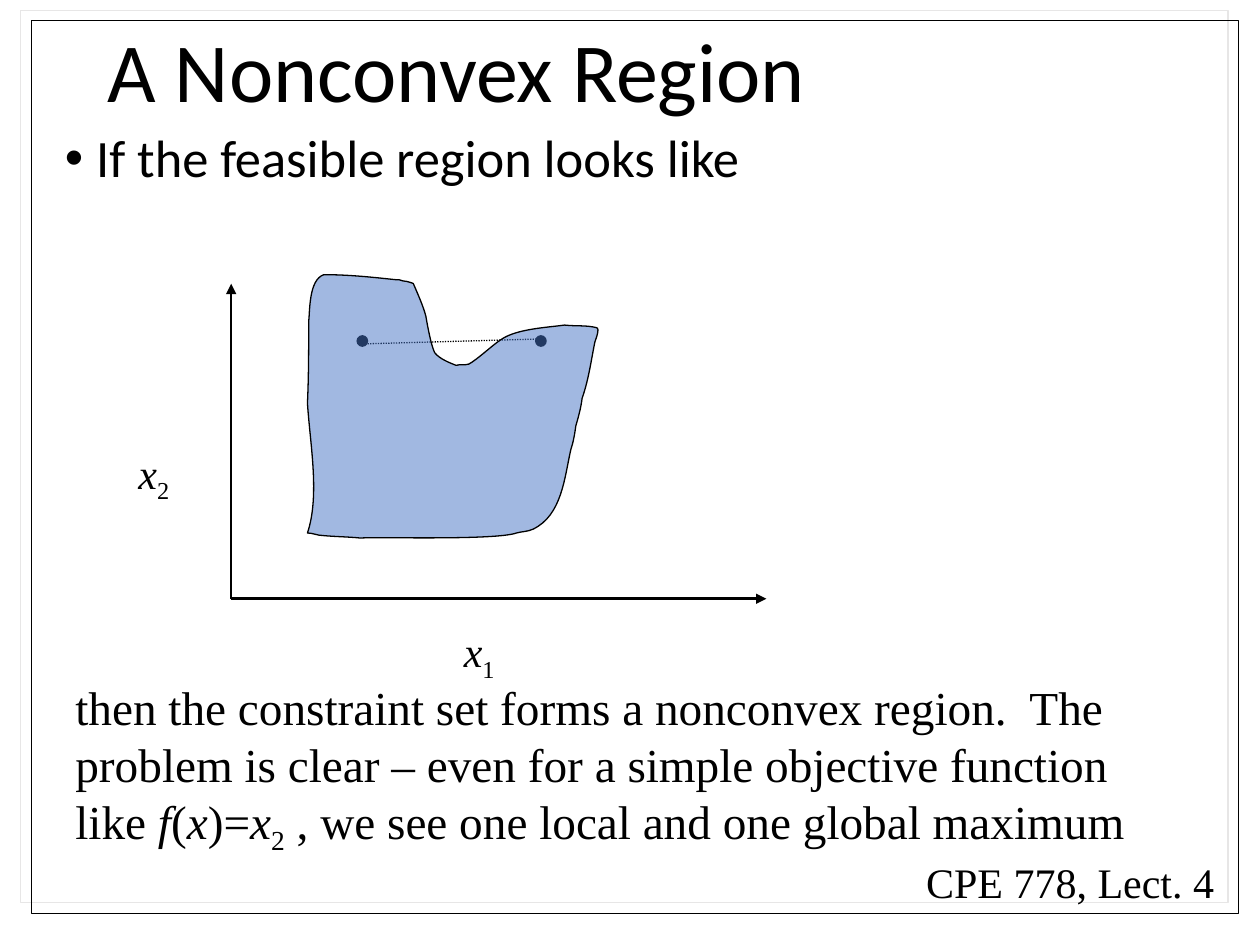
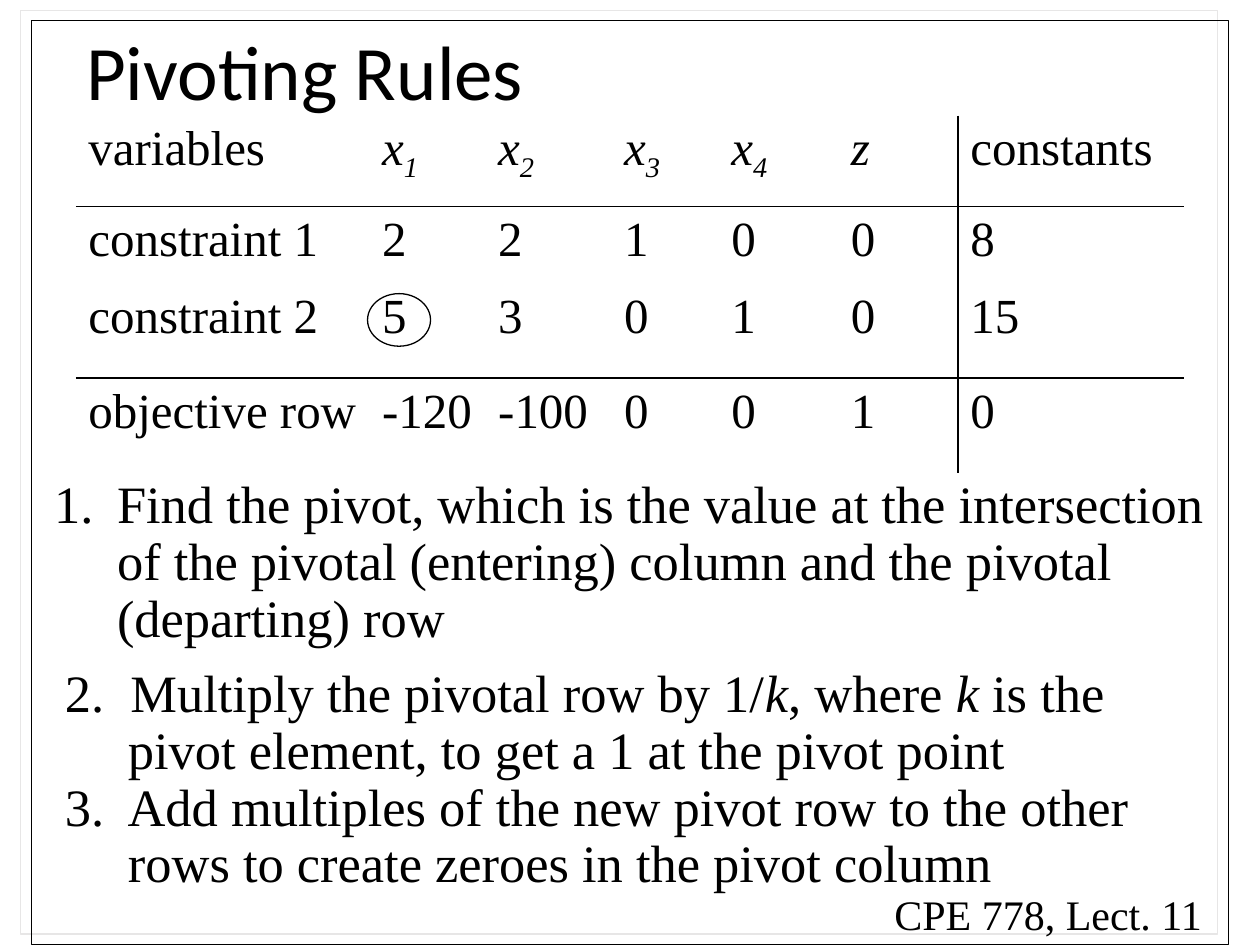
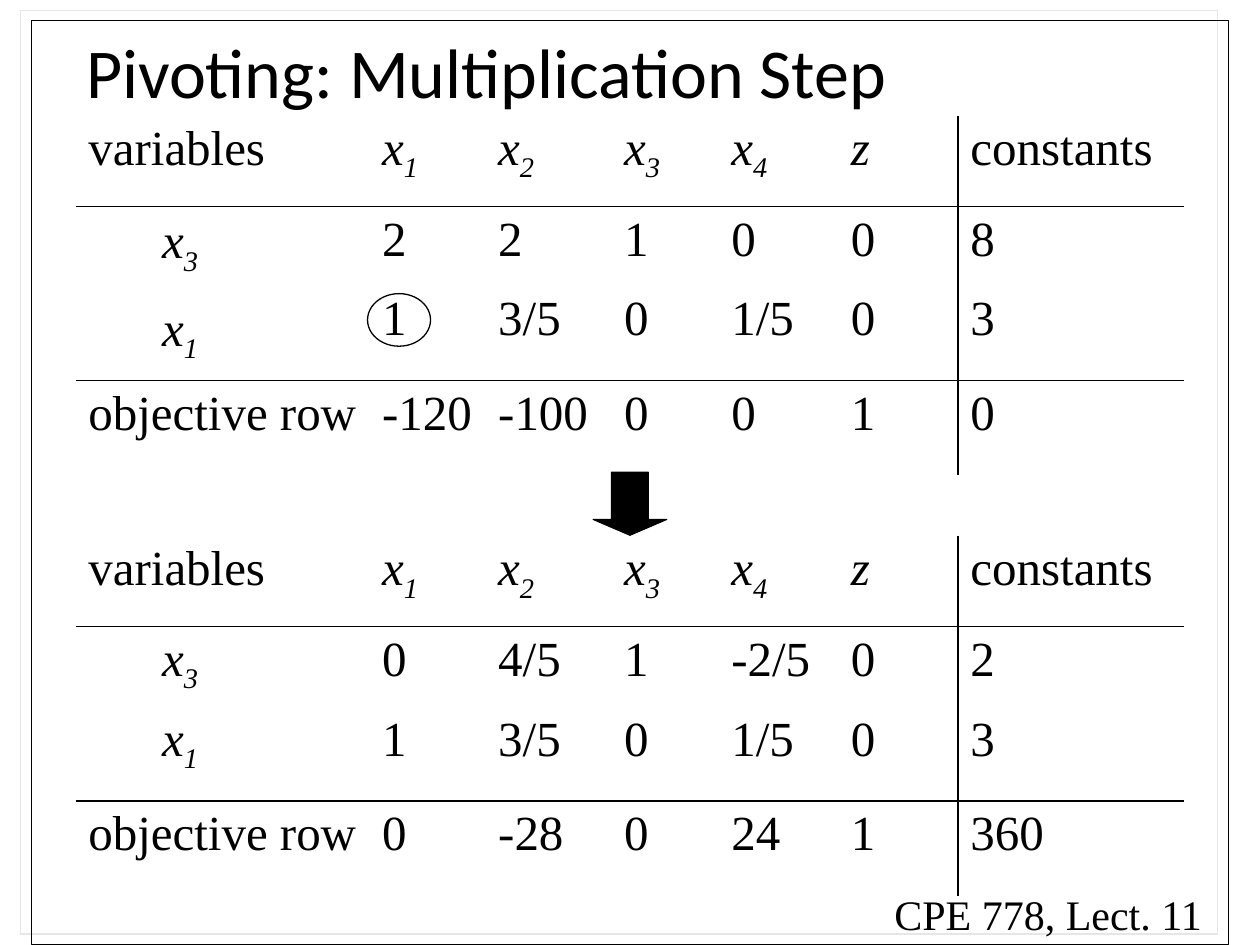
import pptx
import pptx.util
import pptx.dml.color
import pptx.enum.dml
import pptx.enum.shapes
import pptx.enum.text
import pptx.oxml.ns
import lxml.etree

Cm = pptx.util.Cm
Pt = pptx.util.Pt
Shape = pptx.enum.shapes.MSO_SHAPE
Dash = pptx.enum.dml.MSO_LINE
Anchor = pptx.enum.text.MSO_ANCHOR

BLACK = "000000"
GREY = "E7E6E6"
BLUE = "4472C4"
SANS = "Calibri"
SERIF = "Times New Roman"

COLS = [5.92, 2.34, 2.54, 2.16, 2.41, 2.41, 4.55]
ROWS = [1.83, 1.55, 1.91, 1.91]
INDENT = 1.74

# Start point, then Bezier triples, in hundredths of an inch.
START = (244, 423)
CURVES = [
    (254, 393, 246, 352, 244, 320), (245, 298, 245, 276, 245, 255),
    (246, 247, 245, 222, 257, 218), (277, 218, 295, 220, 314, 222),
    (316, 222, 318, 222, 320, 223), (323, 223, 328, 225, 328, 225),
    (331, 232, 336, 243, 338, 251), (339, 257, 342, 274, 345, 280),
    (349, 285, 357, 288, 362, 290), (365, 289, 369, 290, 372, 289),
    (378, 286, 392, 273, 397, 270), (409, 261, 434, 260, 448, 258),
    (457, 259, 465, 258, 473, 260), (477, 260, 472, 271, 472, 272),
    (469, 287, 467, 302, 462, 316), (461, 324, 459, 331, 457, 338),
    (456, 345, 455, 351, 453, 357), (448, 379, 446, 409, 423, 420),
    (419, 422, 413, 422, 410, 423), (393, 429, 300, 426, 286, 427),
    (276, 426, 266, 426, 256, 425), (252, 425, 248, 423, 244, 423),
]


def rgb(text):
    return pptx.dml.color.RGBColor.from_string(text)


def tagged(name):
    """Qualified DrawingML tag."""
    return pptx.oxml.ns.qn("a:" + name)


def add(parent, tag, **attrs):
    """Append a DrawingML child element."""
    return lxml.etree.SubElement(parent, tagged(tag), attrs)


def var(name, sub, style="is"):
    """Runs of an italic name and its subscript."""
    return [(name, "i"), (sub, style)]


class Deck:
    def __init__(self):
        self.show = pptx.Presentation()
        self.show.slide_width = Cm(25.4)
        self.show.slide_height = Cm(19.05)
        self.slide = None

    def start(self, title, size, left, width):
        self.slide = self.show.slides.add_slide(self.show.slide_layouts[5])
        box = self.slide.shapes.title
        box.left, box.top, box.width, box.height = map(Cm, (left, 0, width, 3.17))
        frame = box.text_frame
        frame.auto_size = pptx.enum.text.MSO_AUTO_SIZE.NONE
        frame.vertical_anchor = Anchor.MIDDLE
        self.fill(frame.paragraphs[0], title, size, SANS, 0.8)

    def fill(self, para, runs, size, font=SERIF, space=None):
        """Write runs, where style letters are i (italic) and s (subscript)."""
        para.alignment = pptx.enum.text.PP_ALIGN.LEFT
        if space:
            para.line_spacing = space
        para.font.name = font
        para.font.size = Pt(size)
        para.font.color.rgb = rgb(BLACK)
        for text, style in [(runs, "")] if isinstance(runs, str) else runs:
            run = para.add_run()
            run.text = text
            if "i" in style:
                run.font.italic = True
            if "s" in style:
                run._r.get_or_add_rPr().set("baseline", "-25000")

    def text(self, spot, paras, size, font=SERIF, space=None, wrap=False,
             hang=0, bullet=None):
        """Text box; bullet is a sign, or "1." for automatic numbers."""
        frame = self.slide.shapes.add_textbox(*map(Cm, spot)).text_frame
        frame.word_wrap = wrap
        for i, runs in enumerate(paras):
            para = frame.paragraphs[0] if i == 0 else frame.add_paragraph()
            if hang:
                props = para._p.get_or_add_pPr()
                props.set("marL", str(Cm(hang)))
                props.set("indent", str(-Cm(hang)))
                if bullet == "1.":
                    add(props, "buAutoNum", type="arabicPeriod")
                elif bullet:
                    add(props, "buFont", typeface="Arial")
                    add(props, "buChar", char=bullet)
            self.fill(para, runs, size, font, space)

    def paint(self, shape, fill=None):
        shape.shadow.inherit = False
        if fill:
            shape.fill.solid()
            shape.fill.fore_color.rgb = rgb(fill)
        else:
            shape.fill.background()
        shape.line.color.rgb = rgb(BLACK)
        shape.line.width = Pt(0.75)
        return shape

    def shape(self, kind, spot, fill=None):
        return self.paint(self.slide.shapes.add_shape(kind, *map(Cm, spot)), fill)

    def frame(self, width, height):
        """Slide border with its pale offset shadow."""
        box = self.shape(Shape.RECTANGLE, (0.63, 0.42, width, height))
        effects = box._element.spPr.find(tagged("effectLst"))
        shade = add(effects, "outerShdw", dist=str(Pt(8.5)), dir="13500000",
                    algn="ctr", rotWithShape="0")
        add(shade, "srgbClr", val=GREY)

    def line(self, ends, width, dash=None, arrow=False):
        line = self.slide.shapes.add_connector(
            pptx.enum.shapes.MSO_CONNECTOR.STRAIGHT, *map(Cm, ends))
        line.line.color.rgb = rgb(BLACK)
        line.line.width = Pt(width)
        if dash:
            line.line.dash_style = dash
        if arrow:
            add(line.line._get_or_add_ln(), "tailEnd", type="triangle")
        add(line._element.spPr, "effectLst")

    def region(self, start, curves, fill):
        """Half transparent outline, its segments bent into Bezier curves."""
        spots = [start] + [curve[4:] for curve in curves]
        left, top = map(min, zip(*spots))
        build = self.slide.shapes.build_freeform(*start, scale=Cm(2.54) / 100)
        build.add_line_segments(spots[1:], close=True)
        shape = self.paint(build.convert_to_shape(), fill)
        props = shape._element.spPr
        for side, curve in zip(list(props.iter(tagged("lnTo"))), curves):
            side.clear()
            side.tag = tagged("cubicBezTo")
            for x, y in zip(curve[::2], curve[1::2]):
                add(side, "pt", x=str(x - left), y=str(y - top))
        add(next(props.iter(tagged("srgbClr"))), "alpha", val="50000")

    def edge(self, cell, row, col):
        """Rules under rows 0 and 2 and before the last column."""
        last = len(COLS) - 1
        sides = {"lnL": col == last, "lnR": col == last - 1,
                 "lnT": row in (1, 3), "lnB": row in (0, 2)}
        props = cell._tc.get_or_add_tcPr()
        for tag, drawn in sides.items():
            rule = add(props, tag, w=str(Pt(1)))
            if drawn:
                add(add(rule, "solidFill"), "srgbClr", val=BLACK)
            else:
                add(rule, "noFill")

    def tableau(self, top, body, middle=False):
        """Simplex table; a basic variable as row name is indented."""
        head = (["variables"] + [var("x", n) for n in "1234"]
                + [[("z", "i")], "constants"])
        rows = [head] + body
        table = self.slide.shapes.add_table(
            len(ROWS), len(COLS), Cm(1.53), Cm(top),
            Cm(sum(COLS)), Cm(sum(ROWS))).table
        table.first_row = table.horz_banding = False
        for col, width in zip(table.columns, COLS):
            col.width = Cm(width)
        for r, cells in enumerate(rows):
            table.rows[r].height = Cm(ROWS[r])
            for c, runs in enumerate(cells):
                cell = table.cell(r, c)
                self.edge(cell, r, c)
                cell.fill.background()
                if r and c == 0 and not isinstance(runs, str):
                    cell.margin_left = Cm(INDENT)
                    if middle:
                        cell.vertical_anchor = Anchor.MIDDLE
                self.fill(cell.text_frame.paragraphs[0], runs, 28)

    def pivot(self):
        self.shape(Shape.OVAL, (7.41, 5.92, 1.27, 1.06))

    def lesson(self, title, size):
        """Slide of lecture 11 with title, border and footer."""
        self.start(title, size, 1.48, 22.43)
        self.frame(24.13, 18.62)
        self.text((17.78, 17.78, 6.73, 1.27), ["CPE 778, Lect. 11"], 24)


def convex(deck):
    deck.start("A Nonconvex Region", 48, 1.91, 21.59)
    deck.text((1.06, 2.54, 21.59, 11.43), ["If the feasible region looks like"],
              30, SANS, 0.9, True, 0.63, "•")
    deck.frame(24.34, 17.99)
    deck.text((18.42, 17.15, 6.32, 1.27), ["CPE 778, Lect. 4"], 24)
    deck.text((1.27, 13.55, 21.95, 3.68), [
        "then the constraint set forms a nonconvex region.  The",
        "problem is clear – even for a simple objective function",
        [("like ", ""), ("f", "i"), ("(", ""), ("x", "i"), (")=", "")]
        + var("x", "2", "s")
        + [(" , we see one local and one global maximum", "")],
    ], 27)
    for left in (7.2, 10.8):
        deck.shape(Shape.OVAL, (left, 6.77, 0.21, 0.21), BLACK)
    deck.line((7.41, 6.93, 11, 6.83), 0.75, Dash.ROUND_DOT)
    for sub, left, top in (("2", 2.54, 8.89), ("1", 9.1, 12.49)):
        deck.text((left, top, 1.17, 1.27), [var("x", sub, "s")], 24)
    for tip in ((4.66, 5.72), (15.45, 12.07)):
        deck.line((4.66, 12.07, *tip), 1.5, arrow=True)
    deck.region(START, CURVES, BLUE)


def rules(deck):
    deck.lesson("Pivoting Rules", 44)
    deck.text((0.84, 9.52, 23.72, 3.68), [
        "Find the pivot, which is the value at the intersection of the "
        "pivotal (entering) column and the pivotal (departing) row",
    ], 30, space=0.9, wrap=True, hang=1.27, bullet="1.")
    deck.tableau(2.33, [
        ["constraint 1", "2", "2", "1", "0", "0", "8"],
        ["constraint 2", "5", "3", "0", "1", "0", "15"],
        ["objective row", "-120", "-100", "0", "0", "1", "0"],
    ])
    deck.pivot()
    deck.text((1.06, 13.33, 22.48, 4.83), [
        [("2.  Multiply the pivotal row by 1/", ""), ("k", "i"),
         (", where", ""), (" k", "i"),
         (" is the pivot element, to get a 1 at the pivot point", "")],
        "3.  Add multiples of the new pivot row to the other rows to create "
        "zeroes in the pivot column",
    ], 30, space=0.9, wrap=True, hang=1.27)


def multiply(deck):
    deck.lesson("Pivoting: Multiplication Step", 40)
    scaled = [var("x", "1"), "1", "3/5", "0", "1/5", "0", "3"]
    deck.tableau(2.33, [
        [var("x", "3"), "2", "2", "1", "0", "0", "8"],
        scaled,
        ["objective row", "-120", "-100", "0", "0", "1", "0"],
    ], middle=True)
    deck.pivot()
    arrow = deck.shape(Shape.DOWN_ARROW, (11.96, 9.52, 1.48, 1.27), BLACK)
    arrow.adjustments[0] = 0.5
    arrow.adjustments[1] = 0.25
    deck.tableau(10.8, [
        [var("x", "3"), "0", "4/5", "1", "-2/5", "0", "2"],
        scaled,
        ["objective row", "0", "-28", "0", "24", "1", "360"],
    ])


def main():
    deck = Deck()
    convex(deck)
    rules(deck)
    multiply(deck)
    deck.show.save("out.pptx")


if __name__ == "__main__":
    main()
